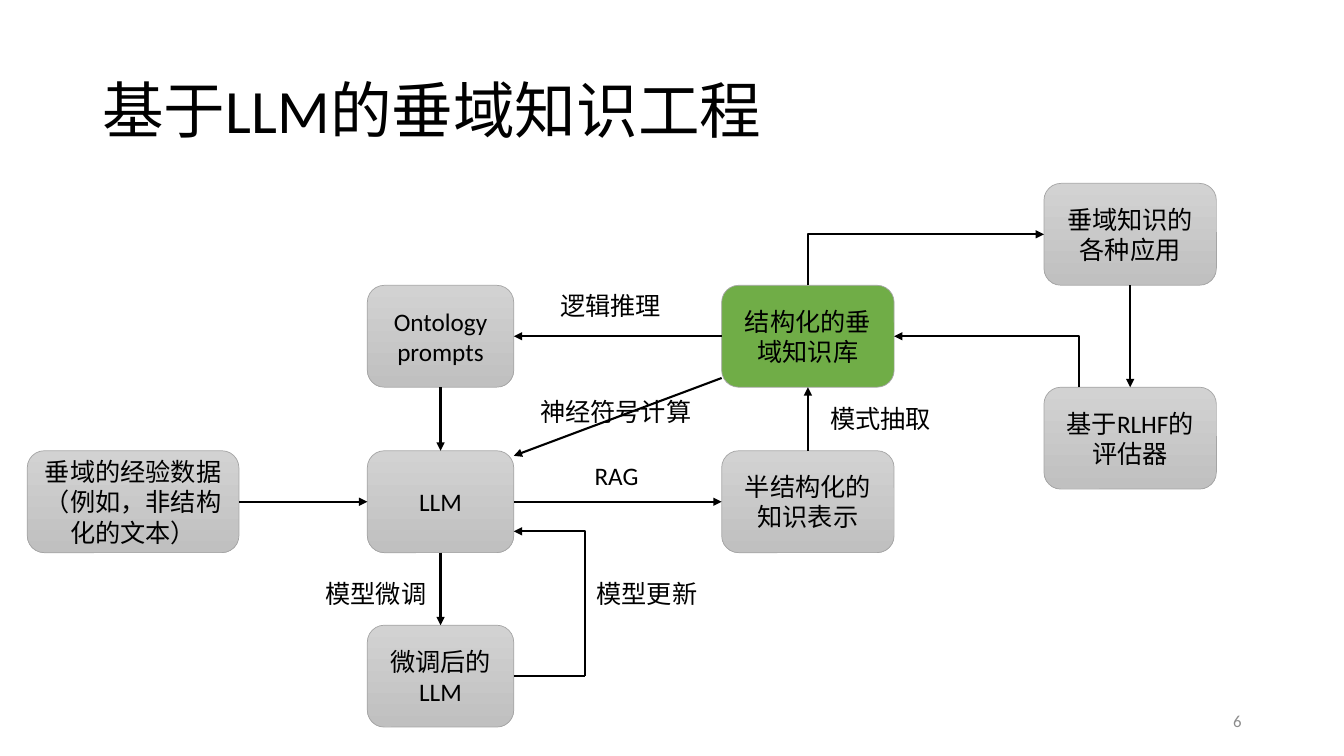
import dataclasses

import pptx
import pptx.dml.color
import pptx.enum.shapes
import pptx.enum.text
import pptx.oxml
import pptx.oxml.ns
import pptx.util
from lxml import etree

Pt = pptx.util.Pt
Align = pptx.enum.text.PP_ALIGN
Anchor = pptx.enum.text.MSO_ANCHOR
Connector = pptx.enum.shapes.MSO_CONNECTOR
qn = pptx.oxml.ns.qn

TOP, LEFT, BOTTOM, RIGHT = range(4)
BOX_H = 72.8


@dataclasses.dataclass(frozen=True)
class Theme:
    font: str = "Calibri"
    ink: str = "000000"
    muted: str = "8C8C8C"
    grey_top: str = "D2D2D2"
    grey_bottom: str = "C0C0C0"
    border: str = "A5A5A5"
    green: str = "70AD47"
    title: float = 44
    body: float = 18
    small: float = 12
    arrow_width: float = 1.5
    border_width: float = 0.5


THEME = Theme()

# Column: left, width
COLUMNS = {
    "data": (19.5, 151.2),
    "model": (262.4, 104.6),
    "knowledge": (515.5, 123.2),
    "usage": (745.7, 123.2),
}
# Row tops; the upper three are one box height apart
ROWS = {
    "application": 131,
    "reasoning": 131 + BOX_H,
    "feedback": 131 + 2 * BOX_H,
    "extraction": 322,
    "tuning": 446.6,
}
BOXES = {
    "data": ("垂域的经验数据（例如，非结构化的文本）", "data", "extraction"),
    "llm": ("LLM", "model", "extraction"),
    "prompts": ("Ontology prompts", "model", "reasoning"),
    "base": ("结构化的垂域知识库", "knowledge", "reasoning"),
    "semi": ("半结构化的知识表示", "knowledge", "extraction"),
    "apps": ("垂域知识的各种应用", "usage", "application"),
    "tuned": ("微调后的LLM", "model", "tuning"),
    "rlhf": ("基于RLHF的评估器", "usage", "feedback"),
}
# Arrow: from box, side, to box, side
LINKS = [
    ("data", RIGHT, "llm", LEFT),
    ("prompts", BOTTOM, "llm", TOP),
    ("base", LEFT, "prompts", RIGHT),
    ("llm", RIGHT, "semi", LEFT),
    ("semi", TOP, "base", BOTTOM),
    ("llm", BOTTOM, "tuned", TOP),
    ("apps", BOTTOM, "rlhf", TOP),
]
# Label: text, left, top, width
LABELS = [
    ("RAG", 417.6, 325.4, 46),
    ("模式抽取", 586, 284.4, 87),
    ("逻辑推理", 393, 203.8, 87),
    ("模型更新", 419, 409.7, 87),
    ("模型微调", 225.4, 409.7, 87),
    ("神经符号计算", 378.7, 279.4, 132.5),
]


def rgb(value):
    return pptx.dml.color.RGBColor.from_string(value)


def write(tf, text, size=THEME.body, color=THEME.ink, align=Align.LEFT,
          anchor=Anchor.TOP, wrap=True, spacing=None):
    tf.word_wrap = wrap
    tf.vertical_anchor = anchor
    p = tf.paragraphs[0]
    p.alignment = align
    p.line_spacing = spacing
    r = p.add_run()
    r.text = text
    r.font.name = THEME.font
    r.font.size = Pt(size)
    r.font.color.rgb = rgb(color)


def add_text(s, text, x, y, w, h, **fmt):
    sp = s.shapes.add_textbox(Pt(x), Pt(y), Pt(w), Pt(h))
    write(sp.text_frame, text, **fmt)


def add_box(s, text, column, row, color=None):
    """Add a rounded box, grey gradient unless a colour is given."""
    x, w = COLUMNS[column]
    sp = s.shapes.add_shape(pptx.enum.shapes.MSO_SHAPE.ROUNDED_RECTANGLE,
                            Pt(x), Pt(ROWS[row]), Pt(w), Pt(BOX_H))
    sp.shadow.inherit = False
    if color:
        sp.fill.solid()
        sp.fill.fore_color.rgb = rgb(color)
    else:
        sp.fill.gradient()
        sp.fill.gradient_angle = 270
        for stop, shade in zip(sp.fill.gradient_stops,
                               (THEME.grey_top, THEME.grey_bottom)):
            stop.color.rgb = rgb(shade)
    sp.line.color.rgb = rgb(THEME.border)
    sp.line.width = Pt(THEME.border_width)
    write(sp.text_frame, text, align=Align.CENTER, anchor=Anchor.MIDDLE)
    return sp


def add_line(s, start=(0, 0), end=(0, 0), kind=Connector.STRAIGHT, arrow=True):
    sp = s.shapes.add_connector(kind, *map(Pt, start + end))
    sp.line.color.rgb = rgb(THEME.ink)
    sp.line.width = Pt(THEME.arrow_width)
    if arrow:
        ln = sp.line._get_or_add_ln()
        etree.SubElement(ln, qn("a:tailEnd"), type="triangle")
    etree.SubElement(sp._element.spPr, qn("a:effectLst"))
    return sp


def add_link(s, source, source_side, target, target_side):
    sp = add_line(s)
    sp.begin_connect(source, source_side)
    sp.end_connect(target, target_side)


def add_elbow(s, start, end):
    """Add an arrow that runs vertically first, then horizontally."""
    sp = add_line(s, start, end, Connector.ELBOW)
    geom = sp._element.spPr.find(qn("a:prstGeom"))
    guides = geom.find(qn("a:avLst"))
    if guides is None:
        guides = etree.SubElement(geom, qn("a:avLst"))
    etree.SubElement(guides, qn("a:gd"), name="adj1", fmla="val 0")


def main():
    prs = pptx.Presentation()
    prs.slide_width, prs.slide_height = Pt(960), Pt(540)
    s = prs.slides.add_slide(prs.slide_layouts[6])

    add_text(s, "基于LLM的垂域知识工程", 66, 28.8, 828, 104.4,
             size=THEME.title, anchor=Anchor.MIDDLE, spacing=0.9)
    add_text(s, "6", 678, 500.5, 216, 28.8, size=THEME.small,
             color=THEME.muted, align=Align.RIGHT, anchor=Anchor.MIDDLE)

    boxes = {name: add_box(s, *place, color=THEME.green if name == "base" else None)
             for name, place in BOXES.items()}
    for source, source_side, target, target_side in LINKS:
        add_link(s, boxes[source], source_side, boxes[target], target_side)

    model_right = sum(COLUMNS["model"])
    base_left, base_w = COLUMNS["knowledge"]
    usage_left = COLUMNS["usage"][0]
    half = BOX_H / 2
    loop = (418, ROWS["tuning"] + half)
    base_mid = ROWS["reasoning"] + half
    add_line(s, (model_right, loop[1]), loop, arrow=False)
    add_elbow(s, loop, (model_right, 379.6))
    add_elbow(s, (base_left + base_w / 2, ROWS["reasoning"]),
              (usage_left, ROWS["application"] + half))
    add_elbow(s, (770.8, ROWS["feedback"]), (base_left + base_w, base_mid))
    add_line(s, (base_left, 270), (model_right, 325.6))

    for text, x, y, w in LABELS:
        add_text(s, text, x, y, w, 29, wrap=False)

    prs.save("out.pptx")


if __name__ == "__main__":
    main()
